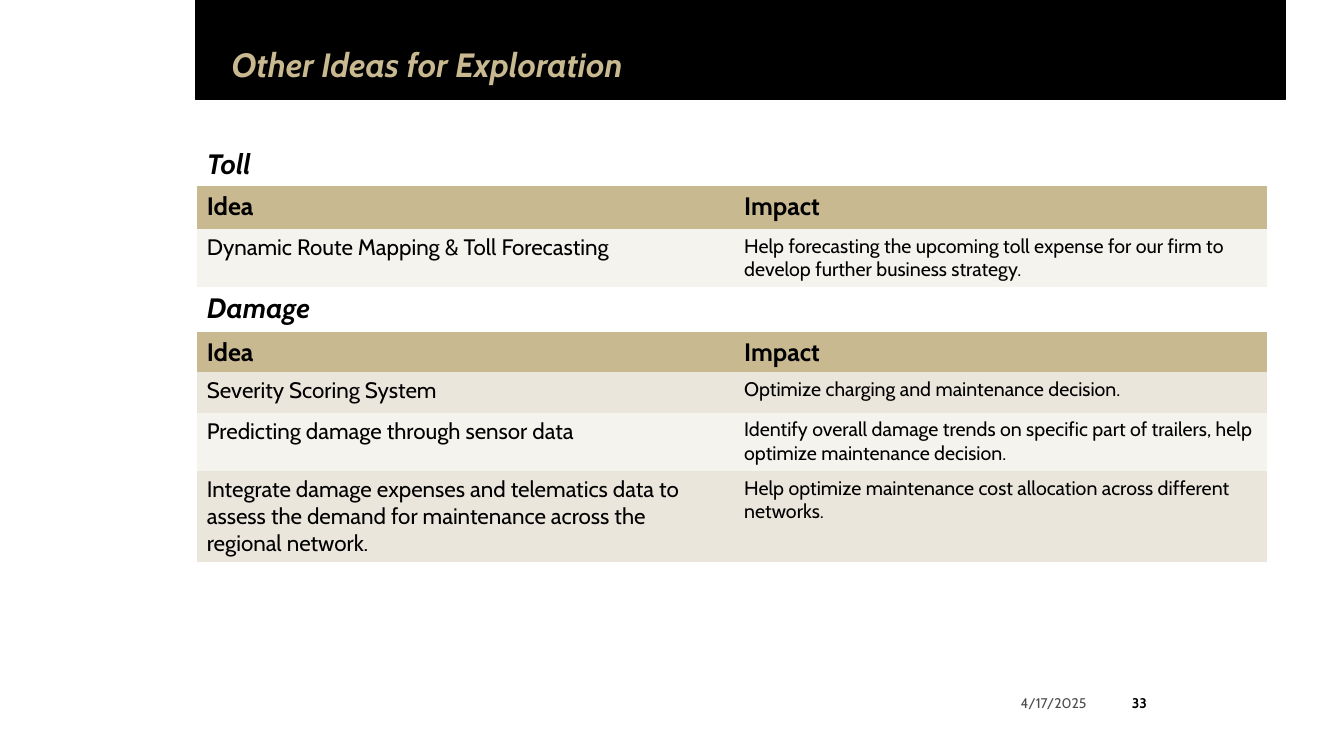
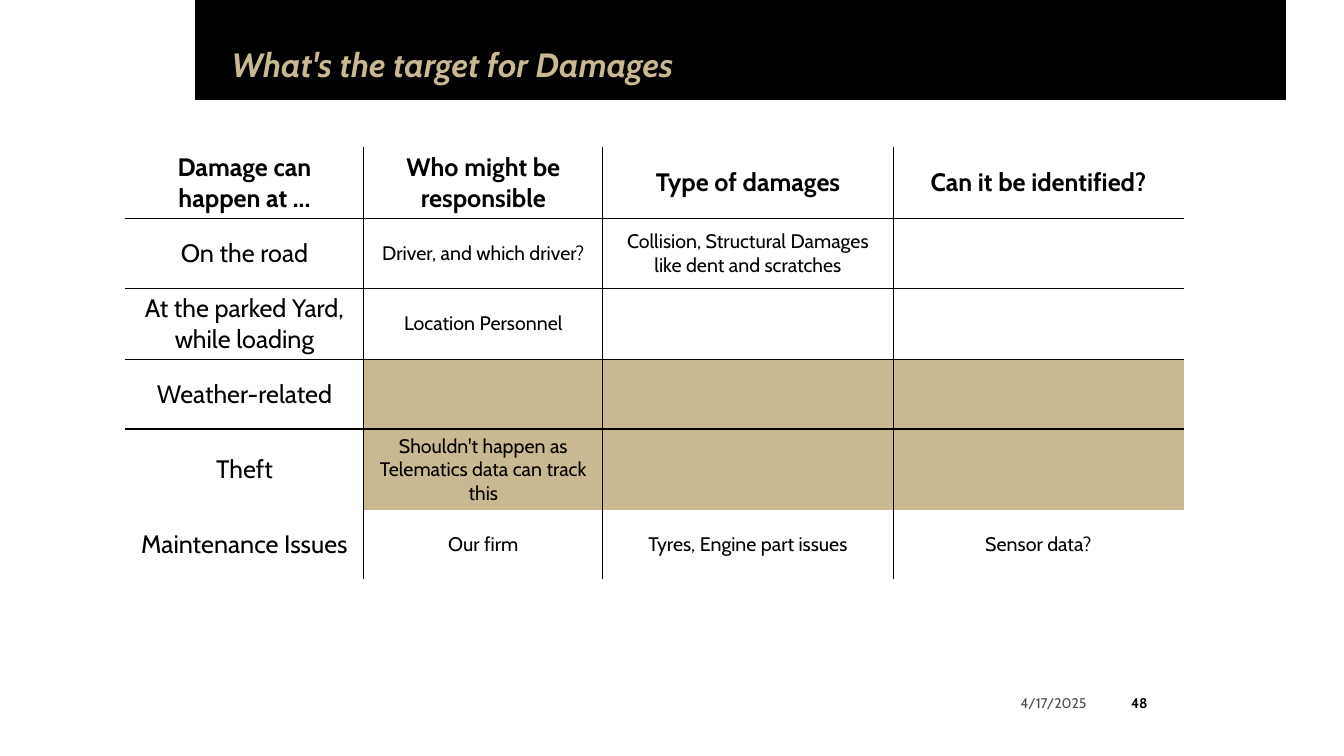
from lxml import etree
from pptx import Presentation
from pptx.dml.color import RGBColor
from pptx.enum.shapes import MSO_SHAPE as SHAPE
from pptx.enum.text import MSO_ANCHOR as ANCHOR, PP_ALIGN as ALIGN
from pptx.oxml.ns import qn
from pptx.util import Cm, Pt

BLACK = RGBColor(0x00, 0x00, 0x00)
WHITE = RGBColor(0xFF, 0xFF, 0xFF)
GOLD = RGBColor(0xC9, 0xB9, 0x91)
CREAM = RGBColor(0xF5, 0xF3, 0xEE)
SAND = RGBColor(0xEB, 0xE6, 0xDC)
NO_GRID = "{2D5ABB26-0587-4C30-8999-92F81FD0307C}"

TITLE = dict(size=Pt(24), bold=True, italic=True)
SECTION = dict(size=Pt(20), bold=True, italic=True)
HEAD = dict(size=Pt(18), bold=True)
LABEL = dict(size=Pt(18))
IDEA = dict(size=Pt(16))
DETAIL = dict(size=Pt(14))
DATE = dict(size=Pt(10))
NUMBER = dict(size=Pt(10), bold=True)

DATE_TEXT = "4/17/2025"
IDEA_COLS = [13.54, 13.44]
IDEA_ROWS = [
    ("section", 1.1, ["Toll"]),
    ("head", 1.08, ["Idea", "Impact"]),
    ("light", 1.45, ["Dynamic Route Mapping & Toll Forecasting",
                     "Help forecasting the upcoming toll expense for our firm to "
                     "develop further business strategy."]),
    ("section", 1.14, ["Damage"]),
    ("head", 1.02, ["Idea", "Impact"]),
    ("dark", 1.02, ["Severity Scoring System",
                    "Optimize charging and maintenance decision."]),
    ("light", 1.47, ["Predicting damage through sensor data",
                     "Identify overall damage trends on specific part of trailers, "
                     "help optimize maintenance decision."]),
    ("dark", 2.3, ["Integrate damage expenses and telematics data to assess the "
                   "demand for maintenance across the regional network.",
                   "Help optimize maintenance cost allocation across different "
                   "networks."]),
]
IDEA_STYLES = {
    "section": (WHITE, [SECTION]),
    "head": (GOLD, [HEAD, HEAD]),
    "light": (CREAM, [IDEA, DETAIL]),
    "dark": (SAND, [IDEA, DETAIL]),
}

TARGET_COLS = [6.02, 6.02, 7.32, 7.32]
TARGET_ROWS = [
    (1.8, ["Damage can happen at ...", "Who might be responsible",
           "Type of damages", "Can it be identified?"]),
    (1.75, ["On the road", "Driver, and which driver?",
            "Collision, Structural Damages like dent and scratches", ""]),
    (1.8, ["At the parked Yard, while loading", "Location Personnel", "", ""]),
    (1.75, ["Weather-related", "", "", ""]),
    (2.0, ["Theft", "Shouldn't happen as Telematics data can track this", "", ""]),
    (1.75, ["Maintenance Issues", "Our firm", "Tyres, Engine part issues",
            "Sensor data?"]),
]
RULED_ROWS = 3
GOLD_ROWS = (3, 4)


def write(tf, text, style, color=BLACK, align=ALIGN.LEFT):
    p = tf.paragraphs[0]
    p.alignment = align
    if not text:
        p.font.size = style["size"]
        return None
    r = p.add_run()
    r.text = text
    r.font.name = "Cabin"
    r.font.color.rgb = color
    for name, value in style.items():
        setattr(r.font, name, value)
    return r


def set_insets(tf, x, y):
    tf.margin_left = tf.margin_right = Cm(x)
    tf.margin_top = tf.margin_bottom = Cm(y)


def add_footer(s, left, width, text, style, align, inset):
    tf = s.shapes.add_textbox(Cm(left), Cm(17.25), Cm(width), Cm(0.95)).text_frame
    tf.word_wrap = True
    tf.vertical_anchor = ANCHOR.MIDDLE
    set_insets(tf, inset, 0.13)
    return write(tf, text, style, align=align)


def add_base_slide(prs, title, number):
    s = prs.slides.add_slide(prs.slide_layouts[5])
    band = s.shapes.add_shape(SHAPE.RECTANGLE, Cm(4.93), 0, Cm(27.46), Cm(2.51))
    band.shadow.inherit = False
    band.fill.solid()
    band.fill.fore_color.rgb = BLACK
    band.line.color.rgb = BLACK
    band.line.width = Pt(1)

    sp = s.shapes.title
    sp._element.addprevious(band._element)
    sp.left, sp.top, sp.width, sp.height = Cm(5.84), Cm(1.22), Cm(22.2), Cm(0.91)
    tf = sp.text_frame
    set_insets(tf, 0, 0)
    tf.vertical_anchor = ANCHOR.MIDDLE
    write(tf, title, TITLE, GOLD)
    tf.paragraphs[0].line_spacing = 0.9

    r = add_footer(s, 24.79, 2.84, DATE_TEXT, DATE, ALIGN.RIGHT, 0.25)
    rgb = r._r.find(".//" + qn("a:srgbClr"))
    etree.SubElement(rgb, qn("a:alpha")).set("val", "70000")
    add_footer(s, 28.04, 1.35, str(number), NUMBER, ALIGN.CENTER, 0.05)
    return s


def add_plain_table(s, left, top, widths, heights):
    tbl = s.shapes.add_table(len(heights), len(widths), Cm(left), Cm(top),
                             Cm(sum(widths)), Cm(sum(heights))).table
    tbl.first_row = tbl.horz_banding = False
    tbl._tbl.tblPr.find(qn("a:tableStyleId")).text = NO_GRID
    for column, width in zip(tbl.columns, widths):
        column.width = Cm(width)
    for row, height in zip(tbl.rows, heights):
        row.height = Cm(height)
    return tbl


def add_borders(cell, sides):
    tcPr = cell._tc.get_or_add_tcPr()
    for side in sides:
        ln = etree.SubElement(tcPr, qn("a:ln" + side), w=str(Pt(1)))
        fill = etree.SubElement(ln, qn("a:solidFill"))
        etree.SubElement(fill, qn("a:srgbClr"), val=str(BLACK))


def fill_cell(cell, color):
    cell.fill.solid()
    cell.fill.fore_color.rgb = color


def add_ideas(prs):
    s = add_base_slide(prs, "Other Ideas for Exploration", 33)
    tbl = add_plain_table(s, 4.96, 3.59, IDEA_COLS, [h for _, h, _ in IDEA_ROWS])
    for i, (kind, _, texts) in enumerate(IDEA_ROWS):
        color, styles = IDEA_STYLES[kind]
        for cell in tbl.rows[i].cells:
            fill_cell(cell, color)
        if kind == "section":
            tbl.cell(i, 0).merge(tbl.cell(i, 1))
        for j, (text, style) in enumerate(zip(texts, styles)):
            write(tbl.cell(i, j).text_frame, text, style)


def add_targets(prs):
    s = add_base_slide(prs, "What's the target for Damages", 48)
    tbl = add_plain_table(s, 3.15, 3.71, TARGET_COLS, [h for h, _ in TARGET_ROWS])
    last = len(TARGET_COLS) - 1
    for i, (_, texts) in enumerate(TARGET_ROWS):
        for j, text in enumerate(texts):
            cell = tbl.cell(i, j)
            edges = {"L": j > 0, "R": j < last,
                     "T": 0 < i <= RULED_ROWS, "B": i < RULED_ROWS}
            add_borders(cell, [side for side, ruled in edges.items() if ruled])
            fill_cell(cell, GOLD if j and i in GOLD_ROWS else WHITE)
            cell.vertical_anchor = ANCHOR.MIDDLE
            style = HEAD if i == 0 else DETAIL if j else LABEL
            write(cell.text_frame, text, style, align=ALIGN.CENTER)


def main():
    prs = Presentation()
    prs.slide_width, prs.slide_height = Cm(33.87), Cm(19.05)
    add_ideas(prs)
    add_targets(prs)
    prs.save("out.pptx")


if __name__ == "__main__":
    main()
